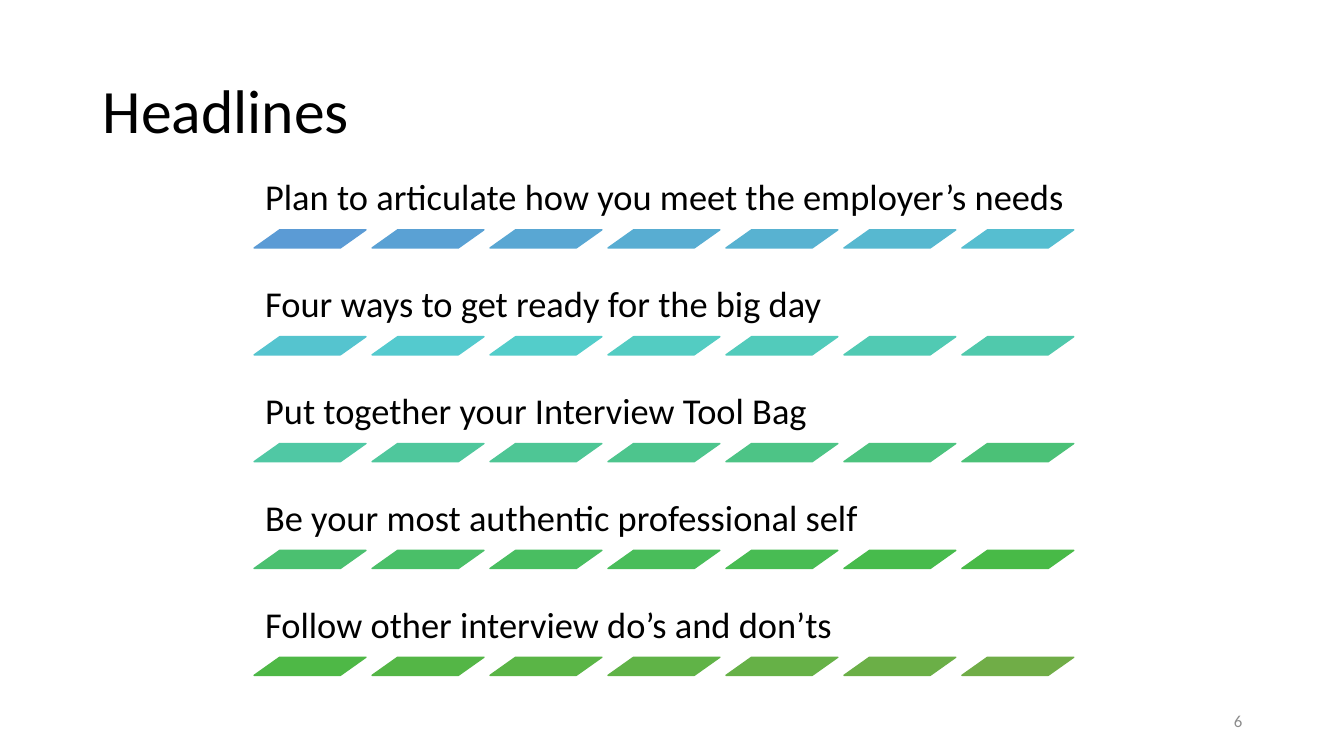
"""Build the Headlines slide: five lines of text over one run of coloured bars."""
from colorsys import hls_to_rgb, rgb_to_hls
from typing import NamedTuple

from pptx import Presentation
from pptx.dml.color import RGBColor
from pptx.enum.shapes import MSO_SHAPE
from pptx.enum.text import MSO_ANCHOR, PP_ALIGN
from pptx.util import Inches, Pt

BAR = MSO_SHAPE.PARALLELOGRAM
MIDDLE, BOTTOM = MSO_ANCHOR.MIDDLE, MSO_ANCHOR.BOTTOM
LEFT, RIGHT = PP_ALIGN.LEFT, PP_ALIGN.RIGHT

FIRST, LAST = "5B9BD5", "70AD47"
COLS = 7
ROW_X, ROW_Y, ROW_STEP = 2.52, 1.53, 1.06
BAR_DROP, BAR_STEP = 0.75, 1.17
LINES = [
    "Plan to articulate how you meet the employer’s needs",
    "Four ways to get ready for the big day",
    "Put together your Interview Tool Bag",
    "Be your most authentic professional self",
    "Follow other interview do’s and don’ts",
]


class Label(NamedTuple):
    text: str
    x: float
    y: float
    width: float
    height: float
    size: int
    anchor: MSO_ANCHOR = MIDDLE
    align: PP_ALIGN = LEFT
    color: str = "000000"
    inset: tuple[float, float] = (0.1, 0.05)
    spacing: float = 0.9


class Bar(NamedTuple):
    x: float
    y: float
    color: str


def paint(target, color: str) -> None:
    target.rgb = RGBColor.from_string(color)


def blend(part: float) -> str:
    """Mix the first and last colours by hue, lightness and saturation."""
    start, end = (
        rgb_to_hls(*(value / 255 for value in RGBColor.from_string(color)))
        for color in (FIRST, LAST)
    )
    mix = (a + (b - a) * part for a, b in zip(start, end))
    return "".join(f"{round(value * 255):02X}" for value in hls_to_rgb(*mix))


def add_label(slide, label: Label) -> None:
    box = slide.shapes.add_textbox(
        Inches(label.x), Inches(label.y), Inches(label.width), Inches(label.height)
    )
    frame = box.text_frame
    frame.word_wrap = True
    frame.vertical_anchor = label.anchor
    side, edge = label.inset
    frame.margin_left = frame.margin_right = Inches(side)
    frame.margin_top = frame.margin_bottom = Inches(edge)
    para = frame.paragraphs[0]
    para.alignment = label.align
    para.line_spacing = label.spacing
    run = para.add_run()
    run.text = label.text
    run.font.name = "Calibri"
    run.font.size = Pt(label.size)
    paint(run.font.color, label.color)


def add_bar(slide, bar: Bar) -> None:
    shape = slide.shapes.add_shape(
        BAR, Inches(bar.x), Inches(bar.y), Inches(1.11), Inches(0.18)
    )
    shape.adjustments[0] = 1.41
    shape.shadow.inherit = False
    shape.fill.solid()
    paint(shape.fill.fore_color, bar.color)
    paint(shape.line.color, bar.color)
    shape.line.width = Pt(1)


def main() -> None:
    deck = Presentation()
    deck.slide_width, deck.slide_height = Inches(13.33), Inches(7.5)
    slide = deck.slides.add_slide(deck.slide_layouts[6])
    add_label(slide, Label("Headlines", 0.92, 0.4, 11.5, 1.45, 44))
    add_label(slide, Label("6", 9.42, 6.95, 3, 0.4, 12, align=RIGHT,
                           color="8C8C8C", spacing=1.0))
    total = len(LINES) * COLS
    for row, text in enumerate(LINES):
        top = ROW_Y + row * ROW_STEP
        add_label(slide, Label(text, ROW_X, top, 8.3, BAR_DROP, 26, BOTTOM,
                               inset=(0.11, 0.11)))
        for col in range(COLS):
            color = blend((row * COLS + col) / (total - 1))
            add_bar(slide, Bar(ROW_X + col * BAR_STEP, top + BAR_DROP, color))
    deck.save("out.pptx")


main()
